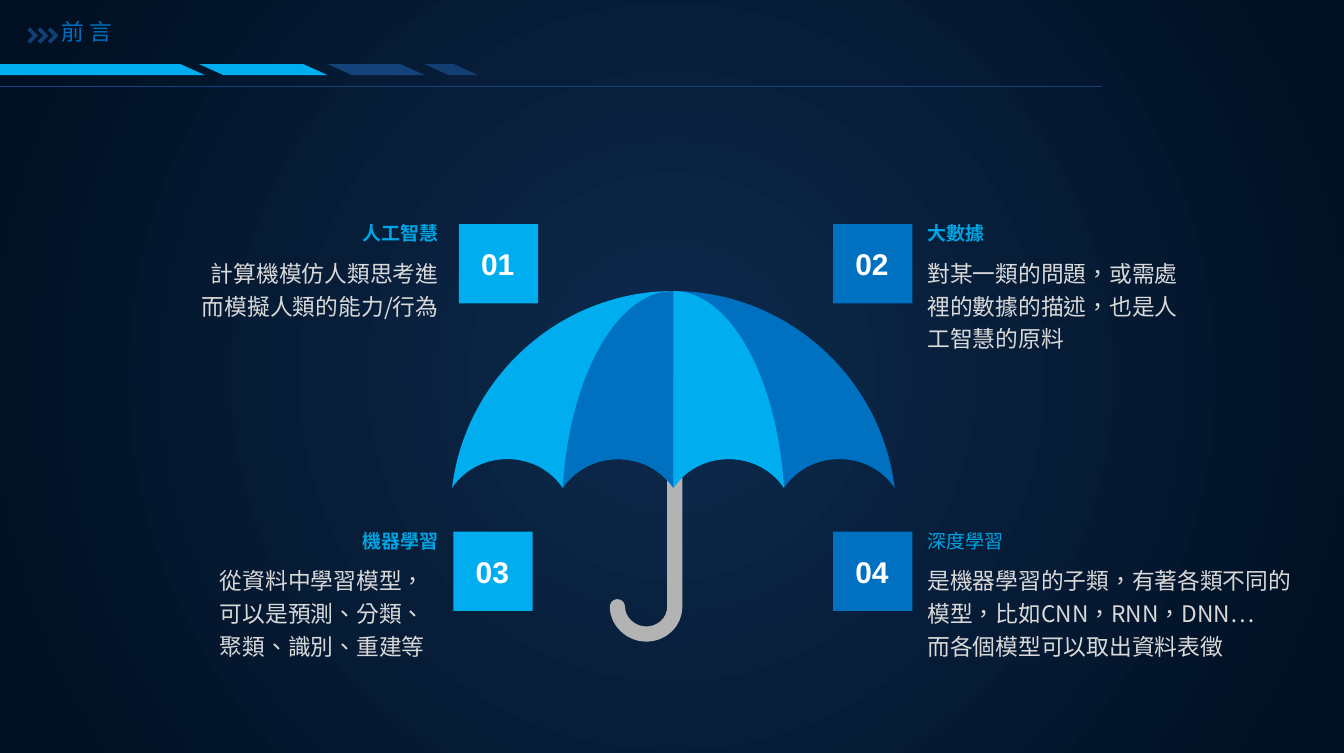
from dataclasses import dataclass

import lxml.etree
import pptx
import pptx.dml.color
import pptx.enum.lang
import pptx.enum.shapes
import pptx.enum.text
import pptx.oxml.ns
import pptx.util

Inches = pptx.util.Inches
RGBColor = pptx.dml.color.RGBColor
SHAPE = pptx.enum.shapes.MSO_SHAPE
ALIGN = pptx.enum.text.PP_ALIGN
ANCHOR = pptx.enum.text.MSO_ANCHOR
qn = pptx.oxml.ns.qn
Point = tuple[float, float]
Segment = list[Point]

CYAN = RGBColor(0x00, 0xAE, 0xEF)
BLUE = RGBColor(0x00, 0x70, 0xC0)
HEADING = RGBColor(0x00, 0xA4, 0xE3)
LIGHT = RGBColor(0xD9, 0xD9, 0xD9)
WHITE = RGBColor(0xFF, 0xFF, 0xFF)
GREY = RGBColor(0xB3, 0xB3, 0xB3)
NAVY = RGBColor(0x14, 0x42, 0x7A)
DEEP_NAVY = RGBColor(0x13, 0x3E, 0x73)
GLOW = RGBColor(0x0D, 0x2A, 0x4D)
NIGHT = RGBColor(0x00, 0x0F, 0x21)

SANS = "Noto Sans CJK SC"
APEX_X, APEX_Y = 4.93, 2.13
RIM_Y, SCALLOP_Y = 3.57, 3.36
PANEL_W = 0.81


@dataclass
class Panel:
    side: int
    scallops: int
    color: RGBColor


@dataclass
class Bar:
    left: float
    width: float
    color: RGBColor


@dataclass
class Topic:
    number: str
    heading: str
    body: list[str]
    top: float
    square_left: float
    heading_left: float
    heading_width: float
    body_left: float
    body_width: float
    color: RGBColor
    align: ALIGN
    body_font: str = SANS
    bold: bool = True


PANELS = [Panel(1, 2, BLUE), Panel(-1, 2, CYAN), Panel(-1, 1, BLUE), Panel(1, 1, CYAN)]

BARS = [
    Bar(-1.61, 3.11, CYAN),
    Bar(1.46, 0.94, CYAN),
    Bar(2.4, 0.71, NAVY),
    Bar(3.11, 0.39, DEEP_NAVY),
]

TOPICS = [
    Topic("01", "人工智慧", ["計算機模仿人類思考進而模擬人類的能力/行為"],
          1.51, 3.36, 2.16, 1.05, 1.39, 1.82, CYAN, ALIGN.RIGHT),
    Topic("02", "大數據", ["對某一類的問題，或需處裡的數據的描述，也是人工智慧的原料"],
          1.51, 6.1, 6.79, 1.23, 6.79, 1.84, BLUE, ALIGN.LEFT),
    Topic("03", "機器學習", ["從資料中學習模型，", "可以是預測、分類、聚類、識別、重建等"],
          3.76, 3.32, 2.16, 1.05, 1.52, 1.59, CYAN, ALIGN.RIGHT, "Arial"),
    Topic("04", "深度學習",
          ["是機器學習的子類，有著各類不同的模型，比如CNN，RNN，DNN…", "而各個模型可以取出資料表徵"],
          3.76, 6.1, 6.79, 1.23, 6.79, 2.7, BLUE, ALIGN.LEFT, SANS, False),
]


def paint_background(s) -> None:
    fill = s.background.fill
    fill.gradient()
    for stop, color, position in zip(fill.gradient_stops, (GLOW, NIGHT), (0, 0.97)):
        stop.color.rgb = color
        stop.position = position
    grad = s._element.xpath(".//a:gradFill")[0]
    grad.remove(grad.find(qn("a:lin")))
    circle = lxml.etree.SubElement(grad, qn("a:path"), path="circle")
    lxml.etree.SubElement(circle, qn("a:fillToRect"), l="50000", t="50000", r="50000", b="50000")


def add_outline(s, start: Point, segments: list[Segment], close: bool = True):
    builder = s.shapes.build_freeform(Inches(start[0]), Inches(start[1]))
    builder.add_line_segments([(Inches(seg[-1][0]), Inches(seg[-1][1])) for seg in segments], close=close)
    sp = builder.convert_to_shape()
    sp.shadow.inherit = False
    for line, seg in zip(sp._element.xpath(".//a:lnTo"), segments):
        if len(seg) == 3:
            line.tag = qn("a:cubicBezTo")
            for i, (x, y) in enumerate(seg[:2]):
                control = lxml.etree.Element(qn("a:pt"), x=str(Inches(x) - sp.left), y=str(Inches(y) - sp.top))
                line.insert(i, control)
    return sp


def set_fill(sp, color: RGBColor) -> None:
    sp.fill.solid()
    sp.fill.fore_color.rgb = color
    sp.line.fill.background()


def add_handle(s):
    left, middle, right, bend, bottom = 4.52, 4.73, 4.94, 4.44, 4.64
    sp = add_outline(s, (left, bend), [
        [(left, 4.55), (4.62, bottom), (middle, bottom)],
        [(4.85, bottom), (right, 4.55), (right, bend)],
        [(right, 2.78)],
    ], close=False)
    sp.fill.background()
    sp.line.color.rgb = GREY
    sp.line.width = pptx.util.Pt(8)
    sp.line._get_or_add_ln().set("cap", "rnd")
    return sp


def add_panel(s, panel: Panel):
    def at(offset: float, y: float) -> Point:
        return APEX_X + panel.side * offset, y

    segments = [[at(0, RIM_Y)]]
    for i in range(panel.scallops):
        start, end = i * PANEL_W, (i + 1) * PANEL_W
        mid = (start + end) / 2
        segments.append([at(start + 0.09, 3.44), at(mid - 0.17, SCALLOP_Y), at(mid, SCALLOP_Y)])
        segments.append([at(mid + 0.17, SCALLOP_Y), at(end - 0.09, 3.44), at(end, RIM_Y)])
    reach = panel.scallops * PANEL_W
    segments.append([at(0.94 * reach, 2.76), at(0.51 * reach, APEX_Y), at(0, APEX_Y)])
    sp = add_outline(s, at(0, APEX_Y), segments)
    set_fill(sp, panel.color)
    return sp


def add_chevron(s, x: float):
    corners = [(x + 0.02, 0.2), (x + 0.08, 0.26), (x + 0.02, 0.32), (x, 0.3), (x + 0.04, 0.26)]
    sp = add_outline(s, (x, 0.22), [[corner] for corner in corners])
    set_fill(sp, DEEP_NAVY)
    return sp


def write(sp, lines: list[str], size: float, font: str, color: RGBColor, align: ALIGN,
          bold: bool = False, spacing: float = 1.2) -> None:
    tf = sp.text_frame
    for i, line in enumerate(lines):
        p = tf.paragraphs[0] if i == 0 else tf.add_paragraph()
        p.alignment = align
        p.line_spacing = spacing
        p.font.size = pptx.util.Pt(size)
        p.font.bold = bold
        p.font.color.rgb = color
        p.font.name = font
        props = p._p.xpath("a:pPr/a:defRPr")[0]
        lxml.etree.SubElement(props, qn("a:ea"), typeface=SANS)
        r = p.add_run()
        r.text = line
        r.font.language_id = pptx.enum.lang.MSO_LANGUAGE_ID.TRADITIONAL_CHINESE


def add_box(s, left: float, top: float, width: float, height: float, inset: float):
    sp = s.shapes.add_textbox(Inches(left), Inches(top), Inches(width), Inches(height))
    tf = sp.text_frame
    tf.word_wrap = True
    tf.margin_left = tf.margin_right = 0
    tf.margin_top = tf.margin_bottom = Inches(inset)
    return sp


def add_topic(s, topic: Topic) -> None:
    heading = add_box(s, topic.heading_left, topic.top, topic.heading_width, 0.27, 0.08)
    write(heading, [topic.heading], 10, "Arial", HEADING, topic.align, topic.bold)
    body = add_box(s, topic.body_left, topic.top + 0.35, topic.body_width, 0.48, 0)
    write(body, topic.body, 12, topic.body_font, LIGHT, topic.align)
    square = s.shapes.add_shape(SHAPE.ROUNDED_RECTANGLE, Inches(topic.square_left), Inches(topic.top + 0.13),
                                Inches(0.58), Inches(0.58))
    square.adjustments[0] = 0
    square.shadow.inherit = False
    set_fill(square, topic.color)
    number = add_box(s, topic.square_left + 0.05, topic.top + 0.2, 0.47, 0.39, 0.08)
    number.text_frame.vertical_anchor = ANCHOR.MIDDLE
    write(number, [topic.number], 15.8, "Arial", WHITE, ALIGN.CENTER, True)


def add_header(s) -> None:
    for bar in BARS:
        sp = s.shapes.add_shape(SHAPE.PARALLELOGRAM, Inches(bar.left), Inches(0.47), Inches(bar.width), Inches(0.08))
        sp.adjustments[0] = 2.21
        sp._element.spPr.get_or_add_xfrm().set("flipV", "1")
        sp.shadow.inherit = False
        set_fill(sp, bar.color)
    rule = s.shapes.add_connector(pptx.enum.shapes.MSO_CONNECTOR.STRAIGHT,
                                  Inches(-0.43), Inches(0.63), Inches(8.07), Inches(0.63))
    rule.line.color.rgb = NAVY
    rule.line.width = pptx.util.Pt(0.5)
    lxml.etree.SubElement(rule._element.spPr, qn("a:effectLst"))
    title = s.shapes.add_textbox(Inches(0.35), Inches(0.08), Inches(0.62), Inches(0.3))
    title.text_frame.word_wrap = False
    title.text_frame.auto_size = pptx.enum.text.MSO_AUTO_SIZE.SHAPE_TO_FIT_TEXT
    write(title, ["前言"], 12, SANS, BLUE, ALIGN.LEFT, spacing=1.0)
    title.text_frame.paragraphs[0].runs[0].font._element.set("spc", "300")
    s.shapes.add_group_shape([add_chevron(s, 0.2 + i * 0.15 / 2) for i in range(3)])


def main() -> None:
    prs = pptx.Presentation()
    prs.slide_width, prs.slide_height = Inches(9.84), Inches(5.51)
    s = prs.slides.add_slide(prs.slide_layouts[6])
    paint_background(s)
    s.shapes.add_group_shape([add_handle(s)] + [add_panel(s, panel) for panel in PANELS])
    for topic in TOPICS:
        add_topic(s, topic)
    add_header(s)
    prs.save("out.pptx")


if __name__ == "__main__":
    main()
